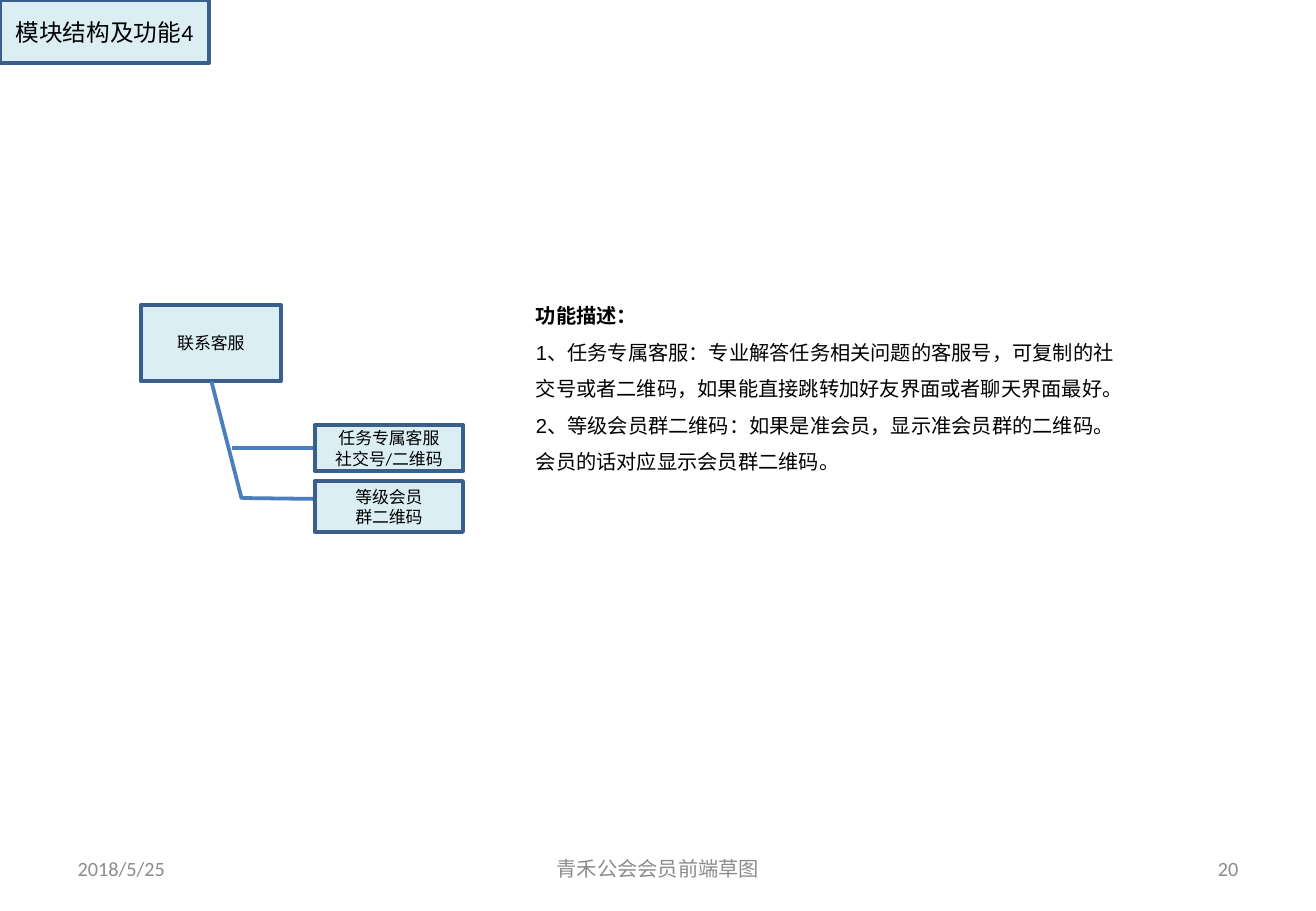
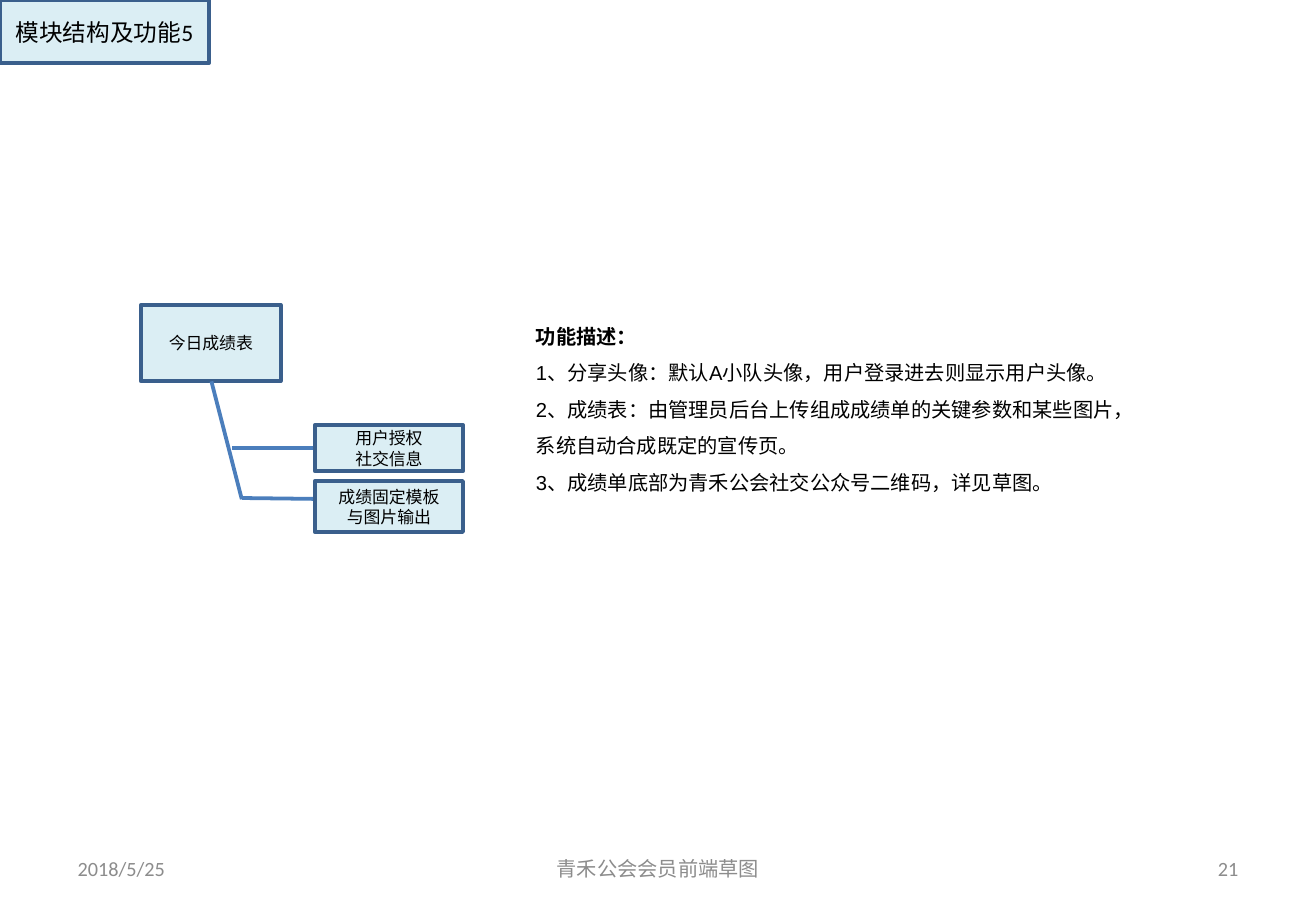
from lxml import etree
from pptx import Presentation
from pptx.dml.color import RGBColor
from pptx.enum.shapes import MSO_CONNECTOR, MSO_SHAPE
from pptx.enum.text import MSO_ANCHOR, MSO_AUTO_SIZE, PP_ALIGN
from pptx.oxml.ns import qn
from pptx.util import Pt

RECT, STRAIGHT = MSO_SHAPE.RECTANGLE, MSO_CONNECTOR.STRAIGHT
LEFT, CENTER, RIGHT = PP_ALIGN.LEFT, PP_ALIGN.CENTER, PP_ALIGN.RIGHT
TOP, MIDDLE = MSO_ANCHOR.TOP, MSO_ANCHOR.MIDDLE
NO_FIT = MSO_AUTO_SIZE.NONE

PALE = RGBColor(0xDB, 0xEE, 0xF4)
BORDER = RGBColor(0x3A, 0x5F, 0x8C)
LINK = RGBColor(0x4B, 0x7E, 0xBC)
BLACK = RGBColor(0, 0, 0)
GREY = RGBColor(0x8C, 0x8C, 0x8C)

PX = 9144  # 100 px to the inch
LINE_W = Pt(2.25)

# Places shared by both slides
TITLE_BOX = (0, 0, 172, 52)
ROOT_BOX = (116, 251, 115, 63)
CHILD_BOXES = [(259, 350, 122, 38), (259, 396, 122, 42)]
LINKS = [(174, 314, 199, 411), (191, 369, 291, 369), (199, 410, 280, 411)]

SLIDES = [
    {
        "title": "模块结构及功能4",
        "root": "联系客服",
        "children": [["任务专属客服", "社交号/二维码"], ["等级会员", "群二维码"]],
        "body_top": 235,
        "body": [
            "功能描述：",
            "1、任务专属客服：专业解答任务相关问题的客服号，可复制的社交号或者二维码，如果能直接跳转加好友界面或者聊天界面最好。",
            "2、等级会员群二维码：如果是准会员，显示准会员群的二维码。会员的话对应显示会员群二维码。",
        ],
        "number": "20",
    },
    {
        "title": "模块结构及功能5",
        "root": "今日成绩表",
        "children": [["用户授权", "社交信息"], ["成绩固定模板", "与图片输出"]],
        "body_top": 252,
        "body": [
            "功能描述：",
            "1、分享头像：默认A小队头像，用户登录进去则显示用户头像。",
            "2、成绩表：由管理员后台上传组成成绩单的关键参数和某些图片，系统自动合成既定的宣传页。",
            "3、成绩单底部为青禾公会社交公众号二维码，详见草图。",
        ],
        "number": "21",
    },
]


def place(sp, box, boxed=False):
    sp.left, sp.top, sp.width, sp.height = [v * PX for v in box]
    if boxed:
        sp.fill.solid()
        sp.fill.fore_color.rgb = PALE
        sp.line.color.rgb = BORDER
        sp.line.width = LINE_W


def write(sp, lines, size, align=CENTER, color=BLACK, font="Calibri", anchor=MIDDLE):
    tf = sp.text_frame
    tf.word_wrap = True
    tf.auto_size = NO_FIT
    tf.vertical_anchor = anchor
    for i, line in enumerate(lines):
        p = tf.add_paragraph() if i else tf.paragraphs[0]
        p.alignment = align
        r = p.add_run()
        r.text = line
        r.font.size = Pt(size)
        r.font.name = font
        r.font.color.rgb = color
    return tf


prs = Presentation()
prs.slide_width, prs.slide_height = 1083 * PX, 750 * PX

for data in SLIDES:
    s = prs.slides.add_slide(prs.slide_layouts[1])

    # Title tab
    title = s.shapes.title
    place(title, TITLE_BOX, boxed=True)
    write(title, [data["title"]], 14).word_wrap = False

    # Description
    body = s.placeholders[1]
    place(body, (431, data["body_top"], 504, 162))
    tf = write(body, data["body"], 12, LEFT, font="Arial", anchor=TOP)
    for p in tf.paragraphs:
        p.line_spacing = 1.5
        p.space_before = Pt(0)
        pPr = p._p.get_or_add_pPr()
        pPr.set("marL", "0")
        pPr.set("indent", "0")
        etree.SubElement(pPr, qn("a:buNone"))
    tf.paragraphs[0].runs[0].font.bold = True

    # Module tree: links lie between the root and its children
    tree = s.shapes.add_group_shape().shapes
    boxes = [(ROOT_BOX, [data["root"]])] + list(zip(CHILD_BOXES, data["children"]))
    for i, (box, lines) in enumerate(boxes):
        sp = tree.add_shape(RECT, 0, 0, PX, PX)
        sp.shadow.inherit = False
        place(sp, box, boxed=True)
        write(sp, lines, 10)
        if i == 0:
            for link in LINKS:
                cn = tree.add_connector(STRAIGHT, *[v * PX for v in link])
                cn.line.color.rgb = LINK
                cn.line.width = LINE_W
                etree.SubElement(cn._element.spPr, qn("a:effectLst"))

    # Footer
    for left, width, text, align in [
        (54, 253, "2018/5/25", LEFT),
        (776, 253, data["number"], RIGHT),
        (370, 343, "青禾公会会员前端草图", CENTER),
    ]:
        sp = s.shapes.add_textbox(left * PX, 695 * PX, width * PX, 40 * PX)
        write(sp, [text], 12, align, GREY)

prs.save("out.pptx")
